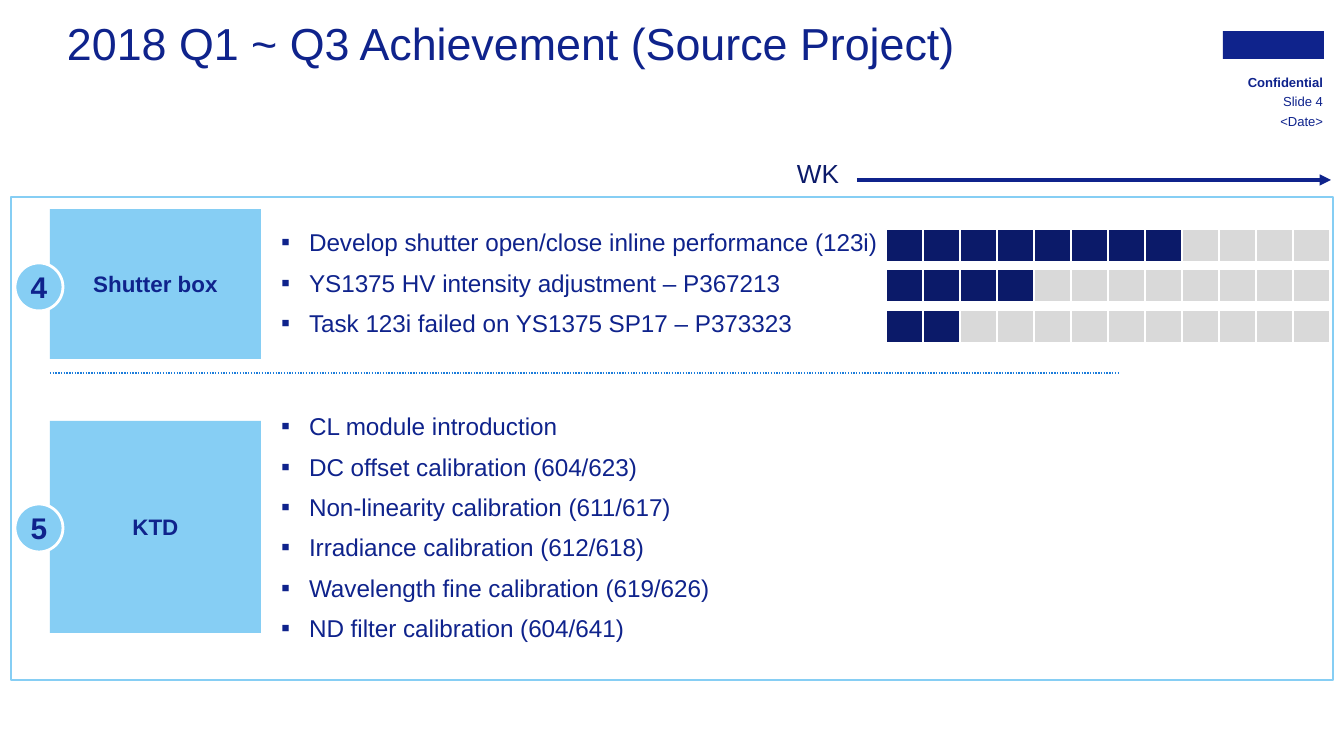
import pptx
import pptx.dml.color
import pptx.enum.dml
import pptx.enum.shapes
import pptx.enum.text
import pptx.oxml
import pptx.oxml.ns
import pptx.util
from lxml import etree

RGB = pptx.dml.color.RGBColor
NAVY = RGB(0x0F, 0x23, 0x8C)
DARK = RGB(0x0B, 0x1A, 0x69)
SKY = RGB(0x86, 0xCE, 0xF4)
BLUE = RGB(0x1C, 0x7D, 0xDB)
GREY = RGB(0xD9, 0xD9, 0xD9)
WHITE = RGB(0xFF, 0xFF, 0xFF)
KIND = pptx.enum.shapes.MSO_SHAPE
ALIGN = pptx.enum.text.PP_ALIGN
ANCHOR = pptx.enum.text.MSO_ANCHOR
Pt = pptx.util.Pt
qn = pptx.oxml.ns.qn
SCALE = 914400 / 134.4


def px(*nums):
    """Turn pixel lengths into a list of EMU."""
    return [pptx.util.Emu(round(n * SCALE)) for n in nums]


def write(shape, lines, size, color=NAVY, bold=False, align=ALIGN.LEFT,
          anchor=ANCHOR.MIDDLE, pad=(0, 0), wrap=True):
    """Fill a shape with one run per paragraph and return its paragraphs."""
    frame = shape.text_frame
    frame.auto_size = pptx.enum.text.MSO_AUTO_SIZE.NONE
    frame.word_wrap = wrap
    frame.vertical_anchor = anchor
    frame.margin_left, frame.margin_top = px(*pad)
    frame.margin_right, frame.margin_bottom = px(*pad)
    for i, line in enumerate(lines):
        para = frame.paragraphs[0] if i == 0 else frame.add_paragraph()
        para.alignment = align
        run = para.add_run()
        run.text = line
        run.font.name = "Arial"
        run.font.size = Pt(size)
        run.font.bold = bold
        run.font.color.rgb = color
    return frame.paragraphs


deck = pptx.Presentation()
deck.slide_width, deck.slide_height = px(1344, 756)
slide = deck.slides.add_slide(deck.slide_layouts[5])
shapes = slide.shapes

# Title and header
title = shapes.title
title.left, title.top, title.width, title.height = px(67, 16, 1118, 48)
write(title, ["2018 Q1 ~ Q3 Achievement (Source Project)"], 24,
      anchor=ANCHOR.TOP)

logo = shapes.add_shape(KIND.RECTANGLE, *px(1223, 31, 101, 28))
logo.shadow.inherit = False
logo.fill.solid()
logo.fill.fore_color.rgb = NAVY
logo.line.fill.background()

for top, label, bold in [(75, "Confidential", True), (94, "Slide 4", False),
                         (114, "<Date>", False)]:
    box = shapes.add_textbox(*px(1212, top, 111, 14))
    write(box, [label], 7, bold=bold, align=ALIGN.RIGHT)

# Frame around both topics
frame = shapes.add_shape(KIND.RECTANGLE, *px(11, 197, 1322, 483))
frame.shadow.inherit = False
frame.fill.background()
frame.line.color.rgb = SKY
frame.line.width = Pt(1.25)

# Divider and week arrow
for start, end, y, color, width in [(50, 1119, 373, BLUE, 0.75),
                                    (857, 1331, 180, NAVY, 2)]:
    rule = shapes.add_connector(pptx.enum.shapes.MSO_CONNECTOR.STRAIGHT,
                                *px(start, y, end, y))
    rule.line.color.rgb = color
    rule.line.width = Pt(width)
    props = rule._element.spPr
    etree.SubElement(props, qn("a:effectLst"))
    if color == BLUE:
        rule.line.dash_style = pptx.enum.dml.MSO_LINE.ROUND_DOT
    else:
        etree.SubElement(props.find(qn("a:ln")), qn("a:tailEnd"),
                         type="triangle")

week = shapes.add_textbox(*px(797, 157, 43, 32))
write(week, ["WK"], 14, DARK, anchor=ANCHOR.TOP, wrap=False)

# Topics: number, name, block top and height, badge top, list box, tasks
TOPICS = [
    ("4", "Shutter box", 209, 150, 263, (281, 199, 813, 167), [
        "Develop shutter open/close inline performance (123i)",
        "YS1375 HV intensity adjustment – P367213",
        "Task 123i failed on YS1375 SP17 – P373323"]),
    ("5", "KTD", 421, 212, 504, (281, 399, 849, 256), [
        "CL module introduction",
        "DC offset calibration (604/623)",
        "Non-linearity calibration (611/617)",
        "Irradiance calibration (612/618)",
        "Wavelength fine calibration (619/626)",
        "ND filter calibration (604/641)"]),
]
for num, name, top, high, spot, area, tasks in TOPICS:
    block = shapes.add_shape(KIND.RECTANGLE, *px(50, top, 211, high))
    badge = shapes.add_shape(KIND.OVAL, *px(15, spot, 48, 48))
    for shape in (block, badge):
        shape.shadow.inherit = False
        shape.fill.solid()
        shape.fill.fore_color.rgb = SKY
    block.line.fill.background()
    badge.line.color.rgb = WHITE
    badge.line.width = Pt(1.5)
    write(block, [name], 12, bold=True, align=ALIGN.CENTER, pad=(8, 1))
    write(badge, [num], 16, bold=True, align=ALIGN.CENTER, wrap=False)

    box = shapes.add_textbox(*px(*area))
    for para in write(box, tasks, 13):
        para.space_after = Pt(6)
        props = para._p.get_or_add_pPr()
        indent = px(28)[0]
        props.set("marL", str(indent))
        props.set("indent", str(-indent))
        etree.SubElement(props, qn("a:buSzPct"), val="105000")
        etree.SubElement(props, qn("a:buFont"), typeface="Arial")
        etree.SubElement(props, qn("a:buChar"), char="▪")

# Progress bars, one cell a week
WEEKS = 12
for row, done in enumerate([8, 4, 2]):
    top = 229 + row * 81 // 2
    grid = shapes.add_table(1, WEEKS, *px(886, top, 37 * WEEKS, 33)).table
    grid.first_row = grid.horz_banding = False
    for week in range(WEEKS):
        grid.columns[week].width = px(37)[0]
        cell = grid.cell(0, week)
        cell.margin_left = cell.margin_right = 0
        cell.margin_top = cell.margin_bottom = 0
        etree.SubElement(cell.text_frame.paragraphs[0]._p,
                         qn("a:endParaRPr"), sz="600")
        props = cell._tc.get_or_add_tcPr()
        for side in ("lnL", "lnR", "lnT", "lnB"):
            edge = etree.SubElement(props, qn("a:" + side), w="12700")
            paint = etree.SubElement(edge, qn("a:solidFill"))
            etree.SubElement(paint, qn("a:srgbClr"), val=str(WHITE))
        cell.fill.solid()
        cell.fill.fore_color.rgb = DARK if week < done else GREY

deck.save("out.pptx")
